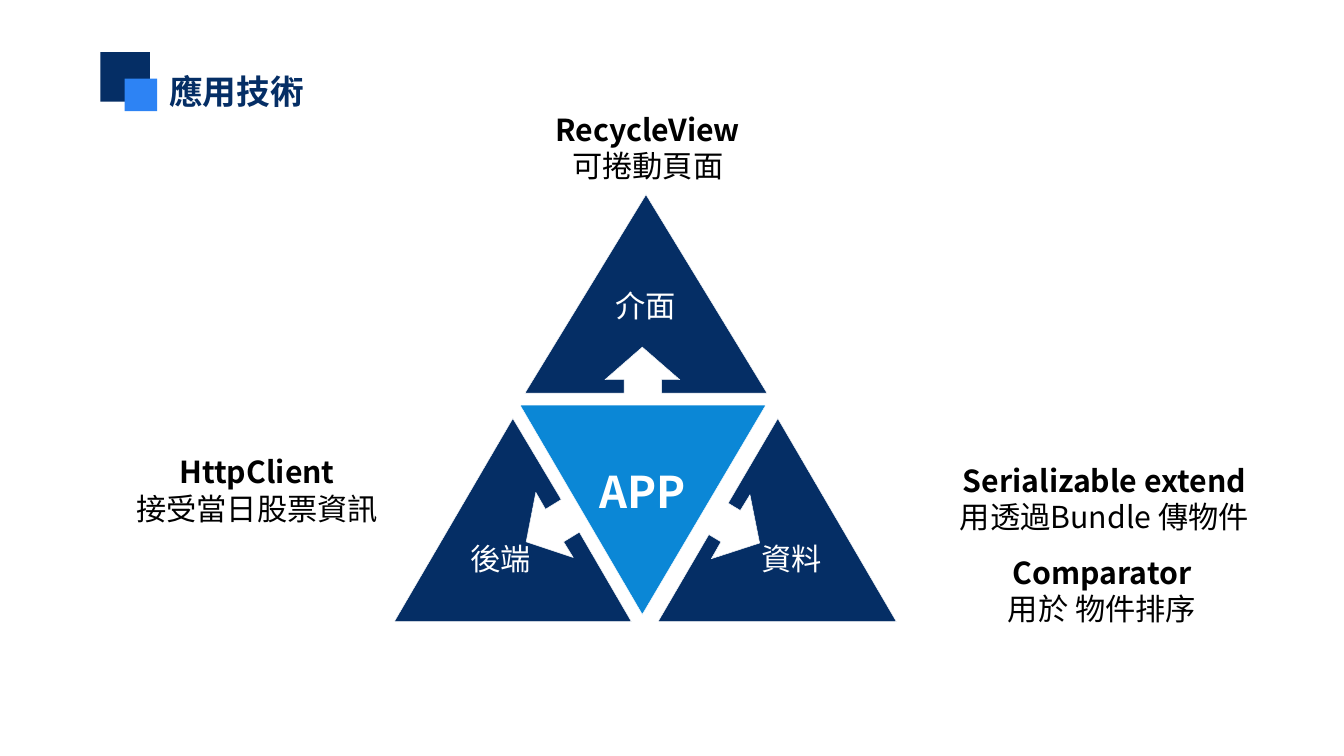
import pptx
import pptx.util
import pptx.dml.color
import pptx.enum.shapes
import pptx.enum.text
import pptx.oxml.ns
import lxml.etree

Inches = pptx.util.Inches
ALIGN = pptx.enum.text.PP_ALIGN
ANCHOR = pptx.enum.text.MSO_ANCHOR

THEME = {
    "navy": "052E65", "accent": "2D83F4", "core": "0B87D6",
    "white": "FFFFFF", "black": "000000",
    "title": 20, "body": 18, "app": 26,
    "font": "Noto Sans CJK SC", "label_font": "Calibri",
}


def write(paragraph, text, size, color, font, bold=False, align=ALIGN.CENTER):
    paragraph.text = text
    paragraph.alignment = align
    for run in paragraph.runs:
        run.font.size = pptx.util.Pt(THEME[size])
        run.font.bold = bold
        run.font.name = THEME[font]
        run.font.color.rgb = pptx.dml.color.RGBColor.from_string(THEME[color])
        east_asian = lxml.etree.SubElement(run.font._element, pptx.oxml.ns.qn("a:ea"))
        east_asian.set("typeface", THEME["font"])


def set_insets(frame, left, top, right, bottom):
    frame.margin_left, frame.margin_top = Inches(left), Inches(top)
    frame.margin_right, frame.margin_bottom = Inches(right), Inches(bottom)


deck = pptx.Presentation()
deck.slide_width, deck.slide_height = Inches(11.11), Inches(6.25)
slide = deck.slides.add_slide(deck.slide_layouts[5])

heading = slide.shapes.title
heading.left, heading.top = Inches(1.3), Inches(0.53)
heading.width, heading.height = Inches(2.83), Inches(0.44)
heading_frame = heading.text_frame
heading_frame.auto_size = pptx.enum.text.MSO_AUTO_SIZE.NONE
heading_frame.vertical_anchor = ANCHOR.MIDDLE
set_insets(heading_frame, 0.1, 0, 0.1, 0)
write(heading_frame.paragraphs[0], "應用技術", "title", "navy", "font", True, ALIGN.LEFT)

for left, top, side, color in [(0.83, 0.43, 0.41, "navy"), (1.03, 0.65, 0.27, "accent")]:
    square = slide.shapes.add_shape(
        pptx.enum.shapes.MSO_SHAPE.RECTANGLE,
        Inches(left), Inches(top), Inches(side), Inches(side))
    square.shadow.inherit = False
    square.fill.solid()
    square.fill.fore_color.rgb = pptx.dml.color.RGBColor.from_string(THEME[color])
    square.line.fill.background()

triangles = [
    ("介面", "navy", "body", "label_font", (0.1, 0.24, 0.1, 0.05),
     [(5.34, 1.61), (6.34, 3.25), (5.47, 3.25), (5.47, 3.14), (5.62, 3.14),
      (5.31, 2.87), (5, 3.14), (5.16, 3.14), (5.16, 3.25), (4.34, 3.25)]),
    ("資料", "navy", "body", "label_font", (0.24, 0.68, 0, 0.05),
     [(6.43, 3.46), (7.41, 5.14), (5.44, 5.14), (5.86, 4.42), (5.96, 4.48),
      (5.88, 4.62), (6.28, 4.49), (6.2, 4.09), (6.12, 4.22), (6.02, 4.16)]),
    ("後端", "navy", "body", "label_font", (0, 0.68, 0.2, 0.05),
     [(4.24, 3.46), (4.64, 4.13), (4.51, 4.21), (4.43, 4.07), (4.35, 4.48),
      (4.74, 4.61), (4.66, 4.48), (4.79, 4.4), (5.22, 5.14), (3.26, 5.14)]),
    ("APP", "core", "app", "font", (0.48, 0, 0.48, 0.44),
     [(4.3, 3.35), (6.33, 3.35), (5.31, 5.08)]),
]
for label, color, size, font, insets, corners in triangles:
    start, *rest = [(Inches(x), Inches(y)) for x, y in corners]
    outline = slide.shapes.build_freeform(*start)
    outline.add_line_segments(rest, close=True)
    triangle = outline.convert_to_shape()
    triangle.shadow.inherit = False
    triangle.fill.solid()
    triangle.fill.fore_color.rgb = pptx.dml.color.RGBColor.from_string(THEME[color])
    triangle.line.color.rgb = pptx.dml.color.RGBColor.from_string(THEME["white"])
    triangle.line.width = pptx.util.Pt(0.25)
    frame = triangle.text_frame
    frame.word_wrap = True
    frame.vertical_anchor = ANCHOR.MIDDLE
    set_insets(frame, *insets)
    write(frame.paragraphs[0], label, size, "white", font, bold=color == "core")
    if color == "core":
        frame.paragraphs[0].line_spacing = 1.3

technologies = [
    (0.99, 3.7, 2.27, "HttpClient", "接受當日股票資訊"),
    (7.43, 3.77, 3.4, "Serializable extend", "用透過Bundle 傳物件"),
    (4.3, 0.87, 2.11, "RecycleView", "可捲動頁面"),
    (7.41, 4.53, 3.4, "Comparator", "用於 物件排序"),
]
for left, top, width, technology, purpose in technologies:
    caption = slide.shapes.add_textbox(Inches(left), Inches(top), Inches(width), Inches(0.71))
    frame = caption.text_frame
    frame.word_wrap = True
    write(frame.paragraphs[0], technology, "body", "black", "font", bold=True)
    write(frame.add_paragraph(), purpose, "body", "black", "font")

deck.save("out.pptx")
